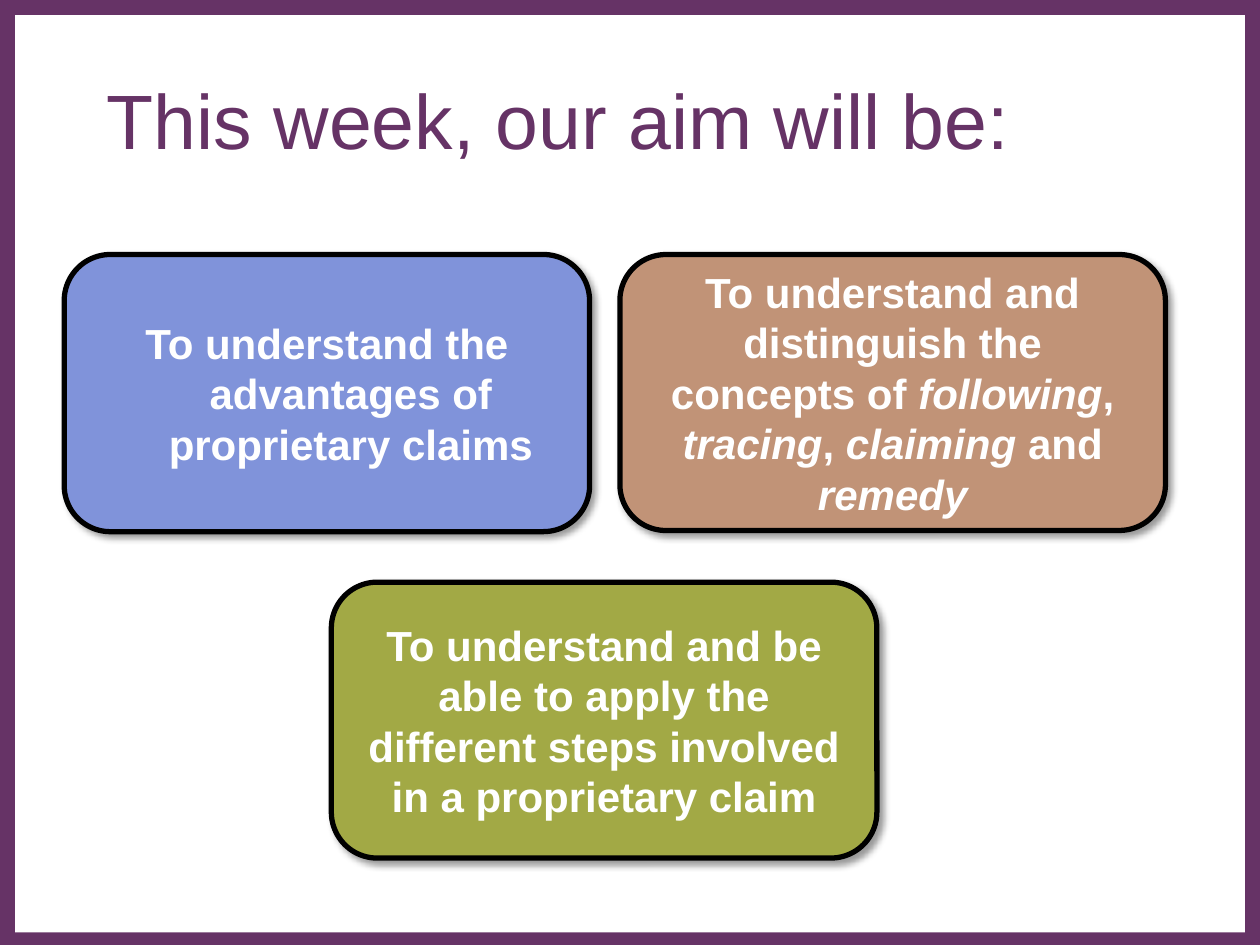
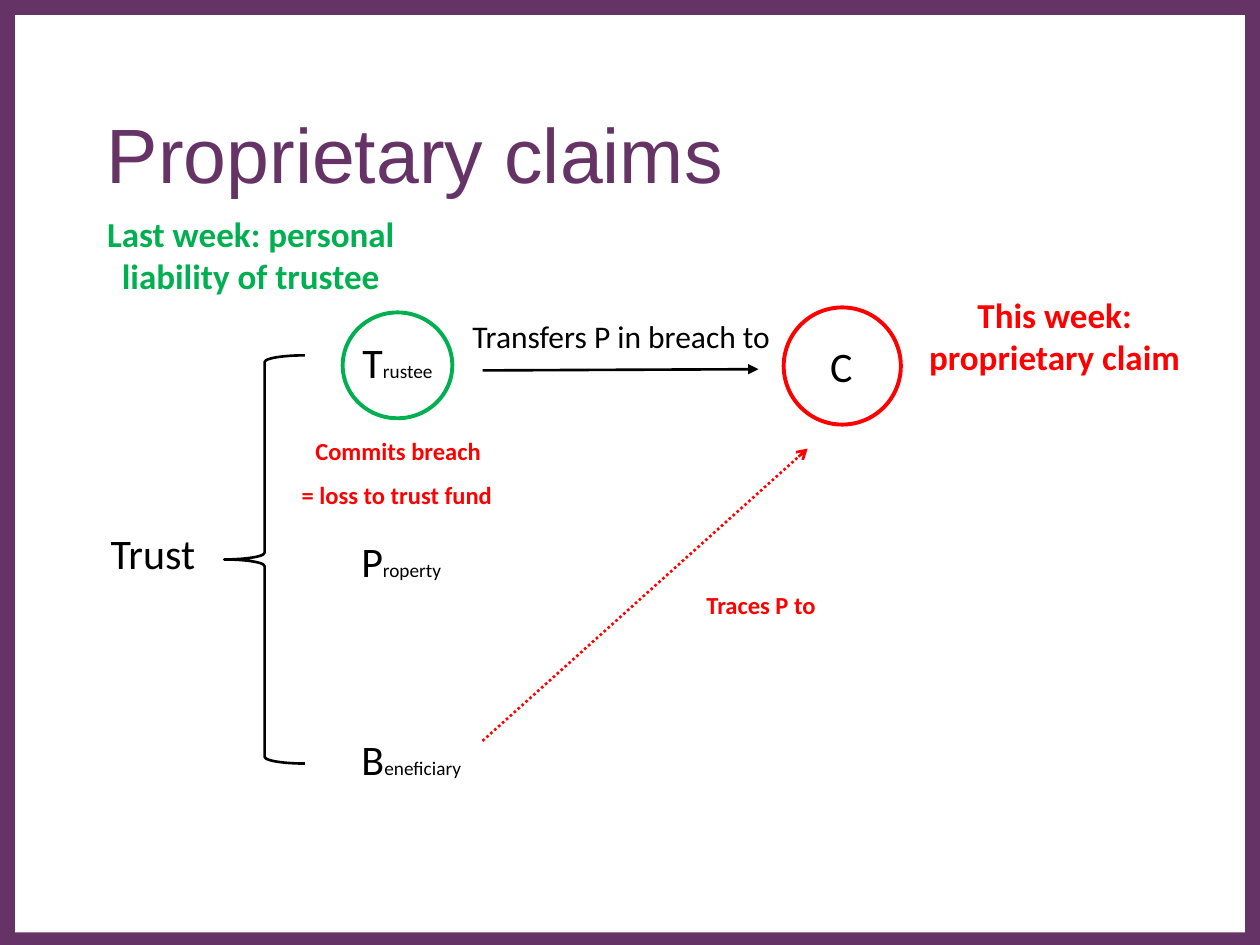
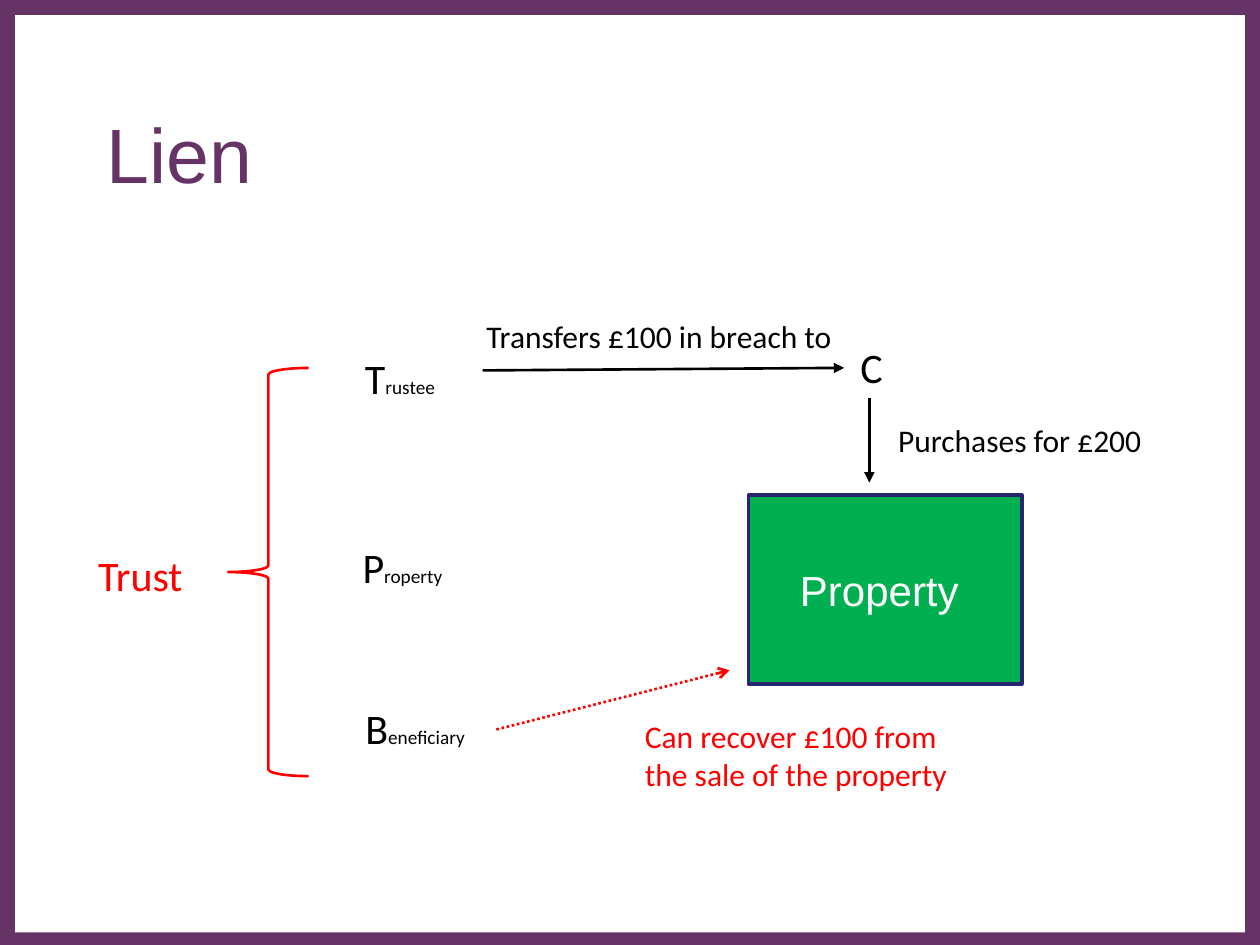
from typing import NamedTuple

from lxml import etree
from pptx import Presentation
from pptx.dml.color import RGBColor
from pptx.enum.dml import MSO_LINE
from pptx.enum.shapes import MSO_CONNECTOR, MSO_SHAPE
from pptx.enum.text import MSO_ANCHOR, MSO_AUTO_SIZE, PP_ALIGN
from pptx.oxml import parse_xml
from pptx.oxml.ns import nsdecls, qn
from pptx.util import Inches, Pt

# Shared colours and fonts
PURPLE = RGBColor(0x66, 0x33, 0x66)
WHITE = RGBColor(0xFF, 0xFF, 0xFF)
BLACK = RGBColor(0x00, 0x00, 0x00)
RED = RGBColor(0xFF, 0x00, 0x00)
GREEN = RGBColor(0x00, 0xB0, 0x50)
NAVY = RGBColor(0x26, 0x26, 0x71)
BLUE = RGBColor(0x80, 0x93, 0xDA)
TAN = RGBColor(0xC1, 0x93, 0x77)
OLIVE = RGBColor(0xA2, 0xA9, 0x45)
HEADING_FONT = "Arial"
DIAGRAM_FONT = "Calibri"


class Place(NamedTuple):
    left: float
    top: float
    width: float
    height: float

    def lengths(self) -> list:
        return [Inches(value) for value in self]


class Span(NamedTuple):
    text: str
    size: float = 24
    color: RGBColor = BLACK
    bold: bool = False
    italic: bool = False
    font: str = DIAGRAM_FONT


class Label(NamedTuple):
    place: Place
    spans: list[Span]
    align: PP_ALIGN = PP_ALIGN.CENTER


class Aim(NamedTuple):
    place: Place
    fill: RGBColor
    phrases: list[str]  # every second phrase is italic
    hanging: float = 0


class Arrow(NamedTuple):
    start: tuple[float, float]
    end: tuple[float, float]
    color: RGBColor = BLACK
    dotted: bool = False


class Trust(NamedTuple):
    color: RGBColor
    brace: Place
    name: Place
    members: list[Place]  # trustee, property, beneficiary


def write_spans(paragraph, spans: list[Span], align: PP_ALIGN) -> None:
    paragraph.alignment = align
    for span in spans:
        run = paragraph.add_run()
        run.text = span.text
        font = run.font
        font.name, font.size = span.font, Pt(span.size)
        font.bold, font.italic = span.bold, span.italic
        font.color.rgb = span.color


def add_figure(page, kind, place: Place, fill: RGBColor,
               line: RGBColor | None = None, weight: float = 1.5):
    figure = page.shapes.add_shape(kind, *place.lengths())
    figure.shadow.inherit = False
    figure.fill.solid()
    figure.fill.fore_color.rgb = fill
    if line is None:
        figure.line.fill.background()
    else:
        figure.line.color.rgb = line
        figure.line.width = Pt(weight)
    return figure


def add_label(page, label: Label):
    box = page.shapes.add_textbox(*label.place.lengths())
    frame = box.text_frame
    frame.word_wrap = True
    frame.auto_size = MSO_AUTO_SIZE.SHAPE_TO_FIT_TEXT
    write_spans(frame.paragraphs[0], label.spans, label.align)
    return box


def add_page(deck, title: str, title_place: Place):
    page = deck.slides.add_slide(deck.slide_layouts[6])
    # Purple border around a white panel
    add_figure(page, MSO_SHAPE.RECTANGLE, Place(0, 0, 10, 7.5), PURPLE)
    add_figure(page, MSO_SHAPE.RECTANGLE, Place(0.12, 0.12, 9.76, 7.28), WHITE)
    heading = Span(title, 44, PURPLE, font=HEADING_FONT)
    box = add_label(page, Label(title_place, [heading], PP_ALIGN.LEFT))
    box.text_frame.auto_size = MSO_AUTO_SIZE.NONE
    box.text_frame.vertical_anchor = MSO_ANCHOR.MIDDLE
    return page


def add_aim(page, aim: Aim) -> None:
    card = add_figure(page, MSO_SHAPE.ROUNDED_RECTANGLE, aim.place, aim.fill, BLACK, 3)
    effects = card._element.spPr.find(qn("a:effectLst"))
    effects.append(parse_xml(
        f'<a:outerShdw {nsdecls("a")} blurRad="{Pt(4)}" dist="{Pt(3)}" '
        'dir="2700000" algn="tl" rotWithShape="0"><a:srgbClr val="000000">'
        '<a:alpha val="40000"/></a:srgbClr></a:outerShdw>'))
    frame = card.text_frame
    frame.word_wrap = True
    frame.vertical_anchor = MSO_ANCHOR.MIDDLE
    paragraph = frame.paragraphs[0]
    if aim.hanging:
        properties = paragraph._p.get_or_add_pPr()
        properties.set("marL", str(Inches(aim.hanging)))
        properties.set("indent", str(-Inches(aim.hanging)))
    spans = [Span(text, 24, WHITE, True, index % 2 == 1, HEADING_FONT)
             for index, text in enumerate(aim.phrases)]
    write_spans(paragraph, spans, PP_ALIGN.CENTER)


def add_arrow(page, arrow: Arrow) -> None:
    points = [Inches(value) for value in (*arrow.start, *arrow.end)]
    connector = page.shapes.add_connector(MSO_CONNECTOR.STRAIGHT, *points)
    line = connector.line
    line.color.rgb = arrow.color
    line.width = Pt(1.5)
    if arrow.dotted:
        line.dash_style = MSO_LINE.ROUND_DOT
    properties = connector._element.spPr
    tail = etree.SubElement(properties.find(qn("a:ln")), qn("a:tailEnd"))
    tail.set("type", "arrow" if arrow.dotted else "triangle")
    etree.SubElement(properties, qn("a:effectLst"))


def add_trust(page, trust: Trust) -> None:
    brace = add_figure(page, MSO_SHAPE.RIGHT_BRACE, trust.brace, WHITE, trust.color)
    brace.rotation = 180
    add_label(page, Label(trust.name, [Span("Trust", color=trust.color)], PP_ALIGN.LEFT))
    for word, place in zip(("Trustee", "Property", "Beneficiary"), trust.members):
        add_label(page, Label(place, [Span(word[0]), Span(word[1:], 11)]))


def build_aims(deck) -> None:
    page = add_page(deck, "This week, our aim will be:", Place(0.75, 0.4, 8.5, 1.08))
    aims = [
        Aim(Place(0.51, 2.02, 4.17, 2.2), BLUE,
            ["To understand the advantages of proprietary claims"], 0.38),
        Aim(Place(4.92, 2.02, 4.33, 2.19), TAN,
            ["To understand and distinguish the concepts of ", "following", ", ",
             "tracing", ", ", "claiming", " and ", "remedy"]),
        Aim(Place(2.63, 4.62, 4.33, 2.19), OLIVE,
            ["To understand and be able to apply the different steps "
             "involved in a proprietary claim"]),
    ]
    for aim in aims:
        add_aim(page, aim)


def build_claims(deck) -> None:
    page = add_page(deck, "Proprietary claims", Place(0.75, 0.67, 8.5, 1.08))
    # Parties
    for place, color in ((Place(6.22, 2.44, 0.93, 0.93), RED),
                         (Place(2.72, 2.48, 0.87, 0.84), GREEN)):
        add_figure(page, MSO_SHAPE.OVAL, place, WHITE, color, 2.25)
    add_trust(page, Trust(
        BLACK, Place(1.78, 2.82, 0.64, 3.24), Place(0.78, 4.14, 0.87, 0.5),
        [Place(1.99, 2.62, 2.33, 0.5), Place(2.02, 4.2, 2.33, 0.5),
         Place(2.1, 5.77, 2.33, 0.5)]))
    add_label(page, Label(Place(6.49, 2.65, 0.46, 0.5), [Span("C")], PP_ALIGN.LEFT))
    # Transfer and tracing
    add_arrow(page, Arrow((3.83, 2.94), (6.02, 2.93)))
    add_arrow(page, Arrow((3.83, 5.88), (6.41, 3.56), RED, True))
    notes = [
        (3.64, 2.47, 0.4, Span("Transfers P in breach to", 18)),
        (0.7, 1.64, 0.77, Span("Last week: personal liability of trustee", 20, GREEN, True)),
        (7.08, 2.28, 0.77, Span("This week: proprietary claim", 20, RED, True)),
        (1.87, 3.41, 0.34, Span("Commits breach", 14, RED, True)),
        (1.86, 3.76, 0.34, Span("= loss to trust fund", 14, RED, True)),
        (4.75, 4.63, 0.34, Span("Traces P to", 14, RED, True)),
    ]
    for left, top, height, span in notes:
        add_label(page, Label(Place(left, top, 2.58, height), [span]))


def build_lien(deck) -> None:
    page = add_page(deck, "Lien", Place(0.75, 0.67, 8.5, 1.08))
    add_trust(page, Trust(
        RED, Place(1.81, 2.92, 0.64, 3.24), Place(0.68, 4.31, 0.87, 0.5),
        [Place(2.01, 2.75, 2.33, 0.5), Place(2.03, 4.25, 2.33, 0.5),
         Place(2.13, 5.53, 2.33, 0.5)]))
    # Purchased property
    purchase = add_figure(page, MSO_SHAPE.RECTANGLE, Place(5.94, 3.93, 2.17, 1.5),
                          GREEN, NAVY, 2)
    purchase.text_frame.vertical_anchor = MSO_ANCHOR.MIDDLE
    write_spans(purchase.text_frame.paragraphs[0],
                [Span("Property ", color=WHITE, font=HEADING_FONT)], PP_ALIGN.CENTER)
    # Transfer, purchase and recovery
    for arrow in (Arrow((3.83, 2.94), (6.7, 2.92)),
                  Arrow((6.9, 3.16), (6.9, 3.83)),
                  Arrow((3.94, 5.79), (5.79, 5.32), RED, True)):
        add_arrow(page, arrow)
    for label in (
        Label(Place(6.73, 2.66, 2.33, 0.5), [Span("C")], PP_ALIGN.LEFT),
        Label(Place(3.64, 2.47, 3.18, 0.4), [Span("Transfers £100 in breach to", 18)]),
        Label(Place(7.03, 3.29, 2.9, 0.4), [Span("Purchases for £200", 18)], PP_ALIGN.LEFT),
        Label(Place(5.02, 5.64, 2.76, 0.71),
              [Span("Can recover £100 from the sale of the property", 18, RED)],
              PP_ALIGN.LEFT),
    ):
        add_label(page, label)


def main() -> None:
    deck = Presentation()
    deck.slide_width, deck.slide_height = Inches(10), Inches(7.5)
    build_aims(deck)
    build_claims(deck)
    build_lien(deck)
    deck.save("out.pptx")


if __name__ == "__main__":
    main()
